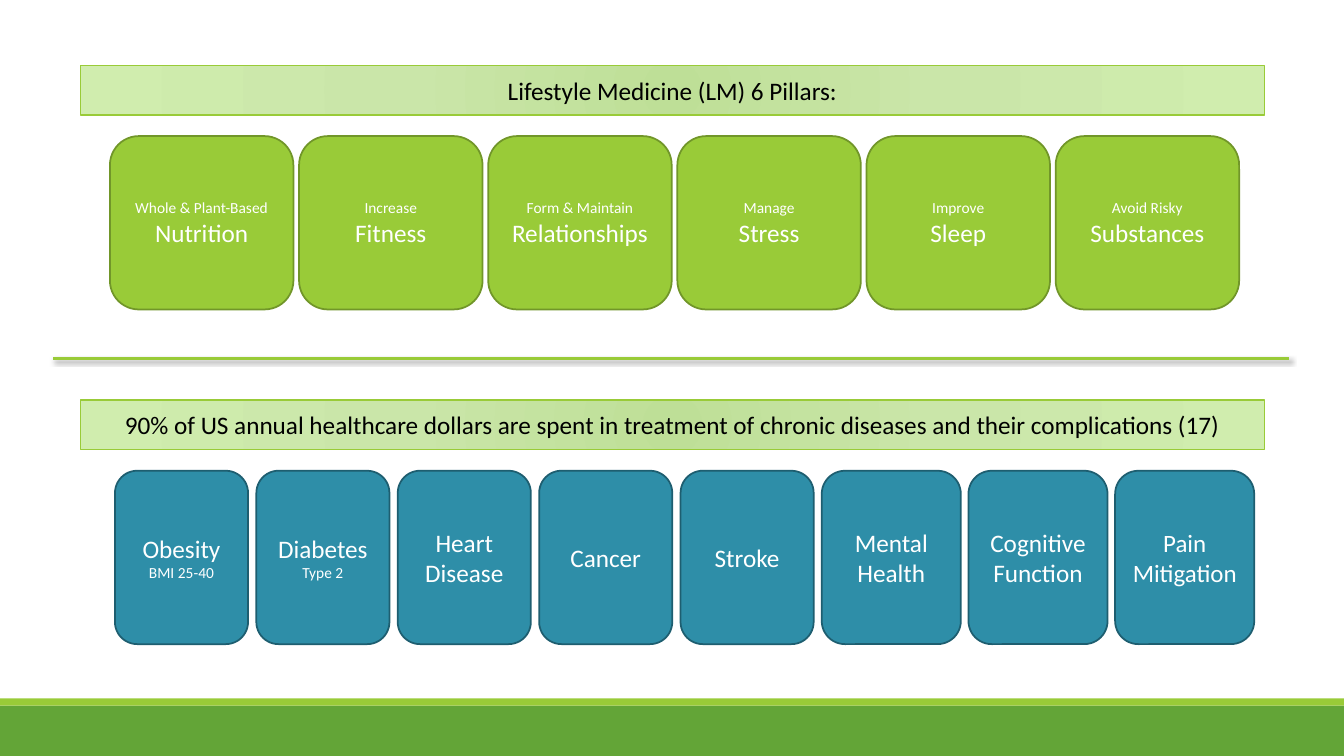
from lxml.etree import SubElement
from pptx import Presentation
from pptx.dml.color import RGBColor
from pptx.enum.shapes import MSO_CONNECTOR, MSO_SHAPE
from pptx.enum.text import MSO_ANCHOR, PP_ALIGN
from pptx.oxml import parse_xml
from pptx.oxml.ns import nsdecls, qn
from pptx.util import Inches, Pt

WHITE = RGBColor(0xFF, 0xFF, 0xFF)
BLACK = RGBColor(0x00, 0x00, 0x00)
LIME = RGBColor(0x99, 0xCB, 0x38)
DARK_LIME = RGBColor(0x71, 0x96, 0x29)
GREEN = RGBColor(0x63, 0xA5, 0x37)
TEAL = RGBColor(0x2E, 0x8E, 0xA8)
DARK_TEAL = RGBColor(0x1E, 0x5E, 0x70)
BANNER_STOPS = [
    (0, RGBColor(0xBE, 0xDF, 0x97)),
    (45, RGBColor(0xCA, 0xE6, 0xA9)),
    (100, RGBColor(0xD0, 0xED, 0xAE)),
]

LARGE, SMALL = 18, 11
CARD_HEIGHT = 1.72

# Each card is a list of paragraphs, each paragraph a list of (text, size)
PILLARS = [
    [[("Whole & Plant-Based ", SMALL), ("Nutrition", LARGE)]],
    [[("Increase", SMALL)], [("Fitness", LARGE)]],
    [[("Form & Maintain ", SMALL), ("Relationships", LARGE)]],
    [[("Manage", SMALL)], [("Stress", LARGE)]],
    [[("Improve", SMALL)], [("Sleep", LARGE)]],
    [[("Avoid Risky ", SMALL), ("Substances", LARGE)]],
]
PHYSICAL_DISEASES = [
    [[("Obesity", LARGE)], [("BMI 25-40", SMALL)]],
    [[("Diabetes", LARGE)], [("Type 2", SMALL)]],
    [[("Heart Disease", LARGE)]],
    [[("Cancer", LARGE)]],
    [[("Stroke", LARGE)]],
]
MIND_AND_PAIN = [
    [[("Mental Health", LARGE)]],
    [[("Cognitive Function", LARGE)]],
    [[("Pain Mitigation", 17.8)]],
]


def write_text(shape, paragraphs, font="Calibri", color=WHITE, align=PP_ALIGN.CENTER):
    frame = shape.text_frame
    frame.word_wrap = True
    frame.vertical_anchor = MSO_ANCHOR.MIDDLE
    for index, pieces in enumerate(paragraphs):
        paragraph = frame.add_paragraph() if index else frame.paragraphs[0]
        paragraph.alignment = align
        for text, size in pieces:
            run = paragraph.add_run()
            run.text = text
            run.font.name = font
            run.font.size = Pt(size)
            run.font.color.rgb = color


class HealthSlide:
    def __init__(self, slide):
        self.slide = slide

    def block(self, shapes, kind, box, fill=None, line=None, weight=1.25):
        shape = shapes.add_shape(kind, *map(Inches, box))
        shape.shadow.inherit = False
        if fill is not None:
            shape.fill.solid()
            shape.fill.fore_color.rgb = fill
        if line is None:
            shape.line.fill.background()
        else:
            shape.line.color.rgb = line
            shape.line.width = Pt(weight)
        return shape

    def bar(self, top, height, fill):
        box = (0, top, 13.33, height)
        self.block(self.slide.shapes, MSO_SHAPE.RECTANGLE, box, fill)

    def cards(self, group, texts, left, top, width, step, fill, line):
        for index, paragraphs in enumerate(texts):
            box = (left + index * step, top, width, CARD_HEIGHT)
            card = self.block(group.shapes, MSO_SHAPE.ROUNDED_RECTANGLE, box, fill, line)
            write_text(card, paragraphs)

    def banner(self, top, text):
        box = (0.8, top, 11.74, 0.49)
        banner = self.block(self.slide.shapes, MSO_SHAPE.RECTANGLE, box, line=LIME, weight=1)
        # Circular gradient in place of the preset fill
        stops = "".join(
            f'<a:gs pos="{position * 1000}"><a:srgbClr val="{color}"/></a:gs>'
            for position, color in BANNER_STOPS
        )
        gradient = parse_xml(
            f'<a:gradFill {nsdecls("a")} rotWithShape="1"><a:gsLst>{stops}</a:gsLst>'
            '<a:path path="circle"><a:fillToRect l="100000" t="100000" '
            'r="100000" b="100000"/></a:path></a:gradFill>'
        )
        banner.element.spPr.find(qn("a:prstGeom")).addnext(gradient)
        write_text(banner, [[(text, LARGE)]], color=BLACK)

    def divider(self, left, right, y):
        ends = map(Inches, (left, y, right, y))
        divider = self.slide.shapes.add_connector(MSO_CONNECTOR.STRAIGHT, *ends)
        divider.line.color.rgb = LIME
        divider.line.width = Pt(2)
        # Soft shadow to the lower right
        effects = SubElement(divider.element.spPr, qn("a:effectLst"))
        shadow = SubElement(effects, qn("a:outerShdw"), blurRad=str(Pt(3)),
                            dist=str(Pt(2)), dir="2700000", rotWithShape="0")
        color = SubElement(shadow, qn("a:srgbClr"), val=str(BLACK))
        SubElement(color, qn("a:alpha"), val="60000")


def main():
    presentation = Presentation()
    presentation.slide_width = Inches(13.33)
    presentation.slide_height = Inches(7.5)
    page = HealthSlide(presentation.slides.add_slide(presentation.slide_layouts[6]))

    # Footer
    page.bar(7, 0.5, GREEN)
    page.bar(6.93, 0.07, LIME)

    # Six pillars
    pillars = page.slide.shapes.add_group_shape()
    page.cards(pillars, PILLARS, 1.09, 1.35, 1.82, 1.876, LIME, DARK_LIME)

    # Chronic diseases: five narrow cards, then three wider ones
    diseases = page.slide.shapes.add_group_shape()
    page.cards(diseases, PHYSICAL_DISEASES, 1.14, 4.67, 1.32, 1.4025, TEAL, DARK_TEAL)
    page.cards(diseases, MIND_AND_PAIN, 8.15, 4.67, 1.38, 1.455, TEAL, DARK_TEAL)

    # Divider and section banners
    page.divider(0.53, 12.78, 3.56)
    page.banner(3.97, "90% of US annual healthcare dollars are spent in treatment "
                      "of chronic diseases and their complications (17)")
    page.banner(0.65, "Lifestyle Medicine (LM) 6 Pillars:")

    presentation.save("out.pptx")


if __name__ == "__main__":
    main()
